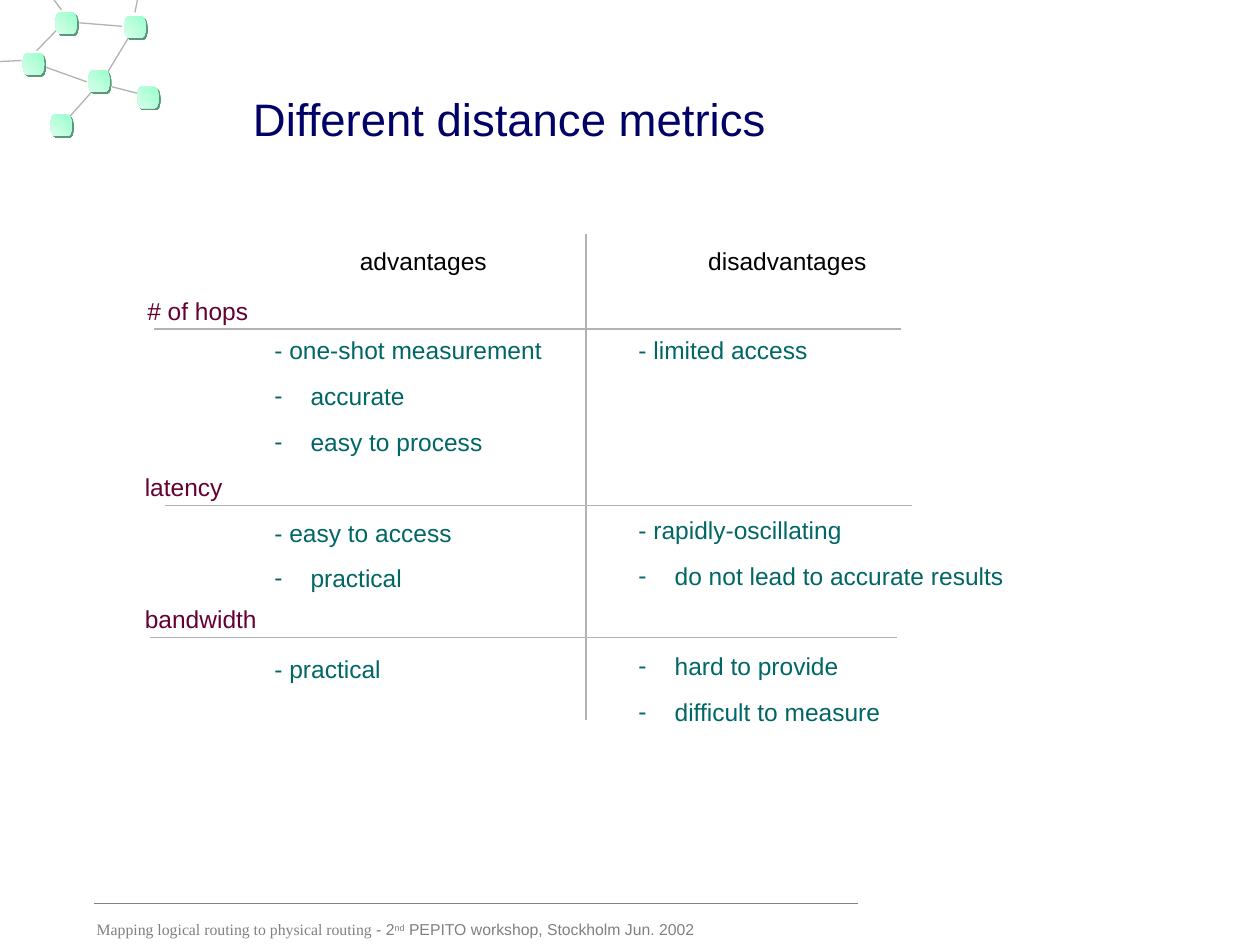
from lxml import etree
from pptx import Presentation
from pptx.dml.color import RGBColor
from pptx.enum.shapes import MSO_CONNECTOR, MSO_SHAPE
from pptx.enum.text import MSO_ANCHOR, MSO_AUTO_SIZE, PP_ALIGN
from pptx.oxml.ns import qn
from pptx.util import Cm, Pt

STRAIGHT = MSO_CONNECTOR.STRAIGHT
DRUM = MSO_SHAPE.FLOWCHART_DIRECT_ACCESS_STORAGE
TOP = MSO_ANCHOR.TOP
NO_FIT = MSO_AUTO_SIZE.NONE
LEFT, CENTER = PP_ALIGN.LEFT, PP_ALIGN.CENTER

NAVY, TEAL, PLUM, BLACK = "000066", "006666", "660033", "000000"
GREY, RULE_GREY = "808080", "B2B2B2"
MINT, PALE_MINT, MINT_SHADOW = "99FFCC", "D8FEEB", "5B9879"

ROW_GAP = 9.4      # points between list rows
ROW_PITCH = 25.5   # points from one list row to the next


def rgb(color):
    return RGBColor.from_string(color)


def add_run(p, text, size=14, color=BLACK, font="Arial", baseline=None):
    r = p.add_run()
    r.text = text
    r.font.size = Pt(size)
    r.font.name = font
    r.font.color.rgb = rgb(color)
    if baseline:
        r.font._element.set("baseline", str(baseline))


def prepare_frame(sp, box):
    """Place a shape in a box given in cm and return its text frame."""
    sp.left, sp.top, sp.width, sp.height = map(Cm, box)
    tf = sp.text_frame
    tf.word_wrap = True
    tf.auto_size = NO_FIT
    tf.vertical_anchor = TOP
    tf.margin_left = tf.margin_right = Cm(0.25)
    tf.margin_top = tf.margin_bottom = Cm(0.13)
    return tf


def add_label(slide, text, box, align=LEFT, **fmt):
    sp = slide.shapes.add_textbox(*map(Cm, box))
    p = prepare_frame(sp, box).paragraphs[0]
    p.alignment = align
    add_run(p, text, **fmt)
    return p


def add_line(shapes, x1, y1, x2, y2, color=RULE_GREY, width=1):
    line = shapes.add_connector(STRAIGHT, Cm(x1), Cm(y1), Cm(x2), Cm(y2))
    line.line.color.rgb = rgb(color)
    line.line.width = Pt(width)
    etree.SubElement(line._element.spPr, qn("a:effectLst"))


def set_bullet(p, char=None):
    pPr = p._p.get_or_add_pPr()
    indent = Cm(0.73) if char else 0
    pPr.set("marL", str(indent))
    pPr.set("indent", str(-indent))
    if char:
        color = etree.SubElement(pPr, qn("a:buClr"))
        etree.SubElement(color, qn("a:srgbClr"), val=TEAL)
        etree.SubElement(pPr, qn("a:buChar"), char=char)
    else:
        etree.SubElement(pPr, qn("a:buNone"))


def fill_title(sp, text, box):
    p = prepare_frame(sp, box).paragraphs[0]
    p.alignment = LEFT
    add_run(p, text, size=26, color=NAVY)


def fill_list(sp, items, box):
    """Write items of (text, bulleted, rows left free above)."""
    tf = prepare_frame(sp, box)
    for i, (text, bulleted, skipped) in enumerate(items):
        p = tf.add_paragraph() if i else tf.paragraphs[0]
        p.space_before = Pt(ROW_GAP + skipped * ROW_PITCH if i else 0)
        set_bullet(p, "-" if bulleted else None)
        add_run(p, text, color=TEAL)


def add_node(shapes, x, y, size=0.43):
    sp = shapes.add_shape(DRUM, Cm(x), Cm(y), Cm(size), Cm(size))
    sp.fill.gradient()
    sp.fill.gradient_angle = 225
    for stop, color in zip(sp.fill.gradient_stops, (MINT, PALE_MINT)):
        stop.color.rgb = rgb(color)
    sp.line.fill.background()
    sp.shadow.inherit = False
    effects = sp._element.spPr.find(qn("a:effectLst"))
    shadow = etree.SubElement(effects, qn("a:outerShdw"), dist=str(Pt(1.4)),
                              dir="2700000", algn="ctr", rotWithShape="0")
    etree.SubElement(shadow, qn("a:srgbClr"), val=MINT_SHADOW)


def add_network(slide, left, top):
    nodes = [(0.46, 1.07), (1.78, 1.42), (2.51, 0.33),
             (1.12, 0.25), (2.77, 1.75), (1.02, 2.31)]
    links = [(0.91, 1.35, 1.75, 1.65), (1.37, 2.39, 1.85, 1.85),
             (2.16, 1.47, 2.59, 0.76), (2.26, 1.75, 2.77, 1.88),
             (0.43, 1.22, 0, 1.24), (1.6, 0.46, 2.46, 0.53),
             (0.74, 1.02, 1.14, 0.61), (2.72, 0.25, 2.77, 0),
             (1.24, 0.2, 1.09, 0)]
    shapes = slide.shapes.add_group_shape().shapes
    for x1, y1, x2, y2 in links:
        add_line(shapes, left + x1, top + y1, left + x2, top + y2, width=0.75)
    for x, y in nodes:
        add_node(shapes, left + x, top + y)


def add_comparison(slide, advantages, disadvantages, box):
    left, top, width, height = box
    lists_top = top + 1.91
    fill_list(advantages, [
        ("- one-shot measurement", False, 0),
        ("accurate", True, 0),
        ("easy to process", True, 0),
        ("- easy to access", False, 1),
        ("practical", True, 0),
        ("- practical", False, 1),
    ], (left + 2.61, lists_top, 8.66, 7.16))
    fill_list(disadvantages, [
        ("- limited access", False, 0),
        ("- rapidly-oscillating", False, 3),
        ("do not lead to accurate results", True, 0),
        ("hard to provide", True, 1),
        ("difficult to measure", True, 0),
    ], (left + 9.95, lists_top, 8.66, 8.08))

    for heading, x in (("advantages", 3.96), ("disadvantages", 11.3)):
        add_label(slide, heading, (left + x, top + 0.1, 3.81, 0.86), CENTER)

    metrics = [("# of hops", 0.05, 0.43, 1.91),
               ("latency", 0, 0.66, 5.47),
               ("bandwidth", 0, 0.35, 8.13)]
    for name, text_x, rule_x, y in metrics:
        add_label(slide, name, (left + text_x, top + y - 0.8, 2.95, 0.86),
                  color=PLUM)
        add_line(slide.shapes, left + rule_x, top + y,
                 left + rule_x + width, top + y)
    divider = left + 9.14
    add_line(slide.shapes, divider, top, divider, top + height)


def add_footer(slide, left, top):
    add_line(slide.shapes, left + 0.2, top, left + 15.6, top, GREY, 0.75)
    p = add_label(slide, "Mapping logical routing to physical routing",
                  (left, top + 0.21, 14.99, 0.63), size=9, color=GREY,
                  font="Times New Roman")
    for text, baseline in ((" - 2", None), ("nd", 30000),
                           (" PEPITO workshop, Stockholm Jun. 2002", None)):
        add_run(p, text, size=9, color=GREY, baseline=baseline)


def main():
    prs = Presentation()
    prs.slide_width, prs.slide_height = Cm(25.4), Cm(19.05)
    two_content = prs.slide_layouts[3]
    slide = prs.slides.add_slide(two_content)
    title, advantages, disadvantages = slide.placeholders
    add_network(slide, 0, 0)
    fill_title(title, "Different distance metrics", (4.85, 1.7, 16.59, 1.37))
    add_comparison(slide, advantages, disadvantages, (2.67, 4.72, 15.06, 9.8))
    add_footer(slide, 1.7, 18.21)
    prs.save("out.pptx")


if __name__ == "__main__":
    main()
